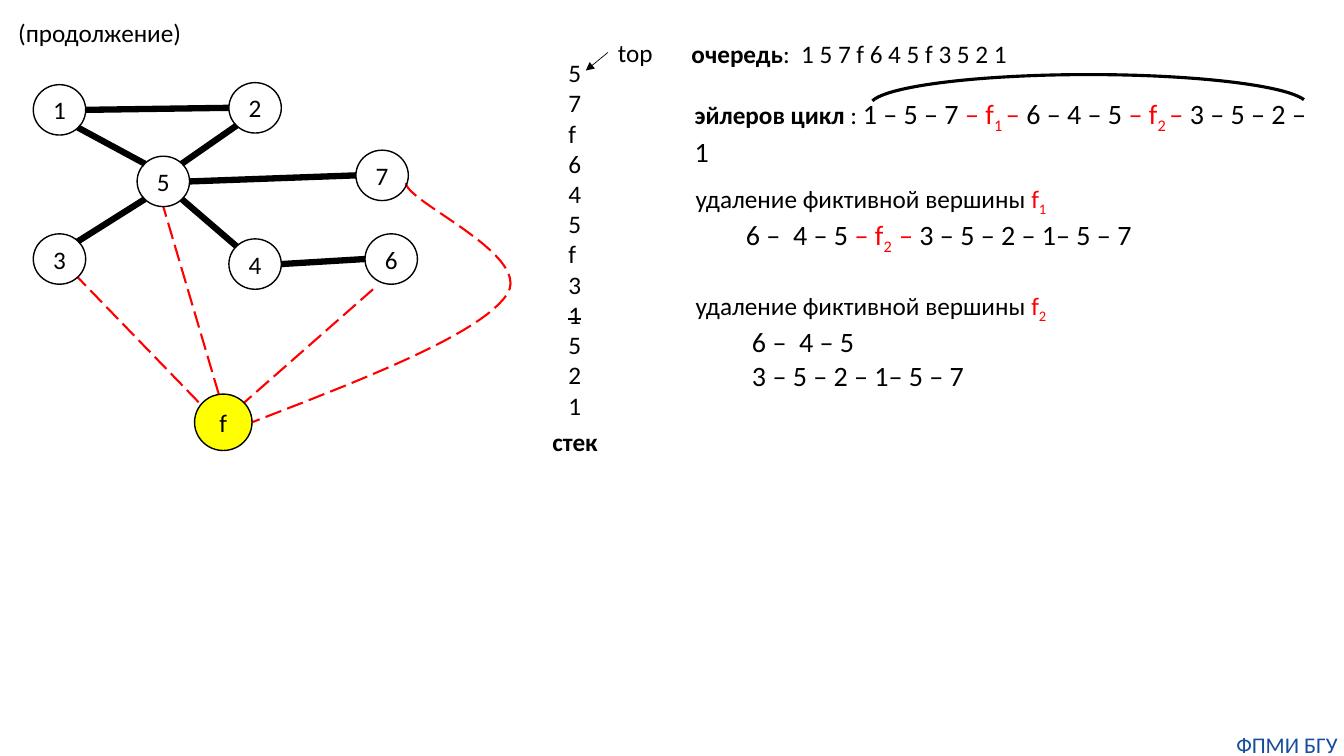
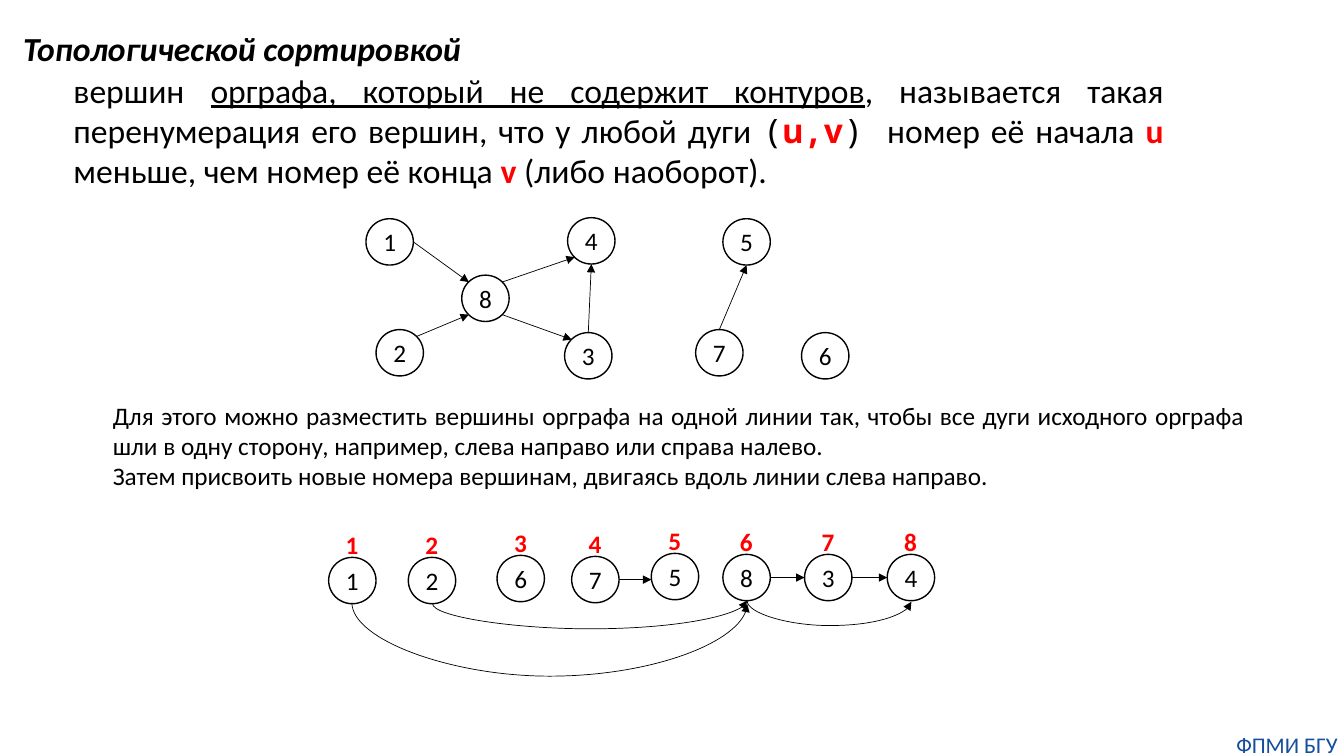
from lxml import etree
from pptx import Presentation, util as u
from pptx.dml.color import RGBColor
from pptx.enum import dml, shapes, text
from pptx.oxml.ns import qn

SCALE = 9144
SLIDE_SIZE = (1333, 750)
BLACK, RED, YELLOW, BLUE = "000000", "FF0000", "FFFF00", "144E9D"
BODY_FONT, MONO_FONT = "Calibri", "Noto Sans Mono"
FOOTER = "ФПМИ БГУ"
FOOTER_BOX = (1220, 725, 113, 27)

ON_RED = {"color": RED}
SUBSCRIPT = {"color": RED, "baseline": -25000}
BIG = {"size": 20}
BIG_RED = {"size": 20, "color": RED}
BIG_SUBSCRIPT = {"size": 20, **SUBSCRIPT}
BOLD = {"bold": True}
RED_BOLD = {"color": RED, "bold": True}

SITES = {
    "t": (0.5, 0), "b": (0.5, 1), "l": (0, 0.5), "r": (1, 0.5),
    "tl": (0.15, 0.15), "tr": (0.85, 0.15), "bl": (0.15, 0.85), "br": (0.85, 0.85),
}

EULER_NODE_SIZE = (52, 50)
EULER_NODES = {
    "1": (33, 84), "2": (227, 82), "3": (33, 232), "4": (227, 237),
    "5": (136, 155), "6": (362, 232), "7": (353, 149),
}
EULER_EDGES = [
    ("1", "br", "5", "tl"), ("2", "bl", "5", "tr"), ("1", "r", "2", "l"),
    ("5", "bl", "3", "tr"), ("5", "br", "4", "tl"), ("4", "r", "6", "l"),
    ("5", "r", "7", "l"),
]
FICTITIOUS_NODE = (193, 391, 57, 56)
FICTITIOUS_EDGES = [
    ((197, 399), (77, 275)), ((217, 391), (162, 205)), ((237, 404), (370, 287)),
]
FICTITIOUS_CURVE = [
    ((242, 422), (359, 377), (476, 332), (503, 292)),
    ((503, 292), (530, 251), (388, 194), (404, 179)),
]
STACK = ["5", "7", "f", "6", "4", "5", "f", "3", [("1", {"strike": True})], "5", "2", "1"]
QUEUE = [("очередь", BOLD), ":  1 5 7 f 6 4 5 f 3 5 2 1"]
EULER_CYCLE = [
    ("эйлеров цикл ", BOLD), ": ", ("1 – 5 – 7", BIG), (" – f", BIG_RED),
    ("1 ", BIG_SUBSCRIPT), ("–", BIG_RED), (" 6 – 4 – 5", BIG), (" – f", BIG_RED),
    ("2 ", BIG_SUBSCRIPT), ("–", BIG_RED), (" 3 – 5 – 2 – 1", BIG),
]
REMOVAL = "удаление фиктивной вершины "
FIRST_REMOVAL = [
    [REMOVAL, ("f", ON_RED), ("1", SUBSCRIPT)],
    [("6 –  4 – 5 ", BIG), ("– f", BIG_RED), ("2  ", BIG_SUBSCRIPT), ("–", BIG_RED),
     (" 3 – 5 – 2 – 1– 5 – 7", BIG)],
]
SECOND_REMOVAL = [
    [REMOVAL, ("f", ON_RED), ("2", SUBSCRIPT)],
    [("6 –  4 – 5", BIG)],
    [("3 – 5 – 2 – 1– 5 – 7", BIG)],
]

SORT_NODE_SIZE = (47, 46)
DIGRAPH_NODES = {
    "1": (363, 217), "2": (373, 327), "3": (560, 330), "4": (563, 216),
    "5": (717, 217), "6": (795, 330), "7": (690, 327), "8": (458, 273),
}
DIGRAPH_ARCS = [
    ("1", "r", "8", "tl"), ("2", "tr", "8", "bl"), ("8", "tr", "4", "bl"),
    ("8", "br", "3", "tl"), ("3", "t", "4", "b"), ("7", "t", "5", "b"),
]
SORTED_NODES = {
    "1": (326, 553), "2": (405, 553), "6": (493, 551), "7": (567, 552),
    "5": (646, 549), "8": (717, 550), "3": (798, 550), "4": (880, 550),
}
SORTED_ARCS = [("7", "5"), ("8", "3"), ("3", "4")]
SORTED_CURVES = [
    ((429, 599), (741, 596), 25), ((741, 596), (904, 597), 25), ((349, 598), (741, 599), 74),
]
DEFINITION = [
    "вершин ", ("орграфа, который не содержит контуров", {"underline": True}),
    ", называется такая перенумерация его вершин, что у любой дуги ",
    ("(", {"name": MONO_FONT}), ("u,v", {"name": MONO_FONT, **RED_BOLD}),
    (") ", {"name": MONO_FONT}), "номер её начала ", ("u", RED_BOLD),
    " меньше, чем номер её конца ", ("v", RED_BOLD), " (либо наоборот).",
]
METHOD = [
    "Для этого можно разместить вершины орграфа на одной линии так, чтобы все дуги "
    "исходного орграфа шли в одну сторону, например, слева направо или справа налево.",
    "Затем присвоить новые номера вершинам, двигаясь вдоль линии слева направо.",
]


def px(value):
    return u.Emu(round(value * SCALE))


def rgb(value):
    return RGBColor.from_string(value)


def format_run(run, name=BODY_FONT, size=18, color=BLACK, bold=False, italic=False,
               underline=False, strike=False, baseline=0):
    font = run.font
    font.name, font.size = name, u.Pt(size)
    font.bold, font.italic, font.underline = bold, italic, underline
    font.color.rgb = rgb(color)
    properties = run._r.get_or_add_rPr()
    if strike:
        properties.set("strike", "sngStrike")
    if baseline:
        properties.set("baseline", str(baseline))


def write(shape, paragraphs, align="LEFT", anchor="TOP", wrap=True, inset=None, indents=(), **style):
    frame = shape.text_frame
    frame.word_wrap = wrap
    frame.auto_size = text.MSO_AUTO_SIZE.NONE
    frame.vertical_anchor = text.MSO_ANCHOR[anchor]
    if inset is not None:
        frame.margin_left = frame.margin_right = frame.margin_top = frame.margin_bottom = px(inset)
    for index, runs in enumerate(paragraphs):
        paragraph = frame.add_paragraph() if index else frame.paragraphs[0]
        paragraph.alignment = text.PP_ALIGN[align]
        if index < len(indents):
            paragraph._p.get_or_add_pPr().set("marL", str(px(indents[index])))
        for part in [runs] if isinstance(runs, str) else runs:
            words, special = (part, {}) if isinstance(part, str) else part
            run = paragraph.add_run()
            run.text = words
            format_run(run, **{**style, **special})


def add_text(slide, box, paragraphs, **style):
    write(slide.shapes.add_textbox(*map(px, box)), paragraphs, **style)


def set_line(shape, color=BLACK, width=1, dash=False):
    shape.line.color.rgb = rgb(color)
    shape.line.width = u.Pt(width)
    if dash:
        shape.line.dash_style = dml.MSO_LINE.LONG_DASH


def add_shape(slide, kind, box, fill=None, **line):
    shape = slide.shapes.add_shape(shapes.MSO_SHAPE[kind], *map(px, box))
    shape.shadow.inherit = False
    if fill:
        shape.fill.solid()
        shape.fill.fore_color.rgb = rgb(fill)
    else:
        shape.fill.background()
    set_line(shape, **line)
    return shape


def add_node(slide, label, box, fill=None):
    node = add_shape(slide, "OVAL", box, fill)
    write(node, [label], align="CENTER", anchor="MIDDLE", inset=0)


def add_nodes(slide, nodes, size):
    for label, corner in nodes.items():
        add_node(slide, label, corner + size)


def add_line(slide, start, end, arrow=False, kind="STRAIGHT", **line):
    connector = slide.shapes.add_connector(shapes.MSO_CONNECTOR[kind], *map(px, start + end))
    set_line(connector, **line)
    if arrow:
        etree.SubElement(connector.line._get_or_add_ln(), qn("a:tailEnd"), type="triangle")
    etree.SubElement(connector._element.spPr, qn("a:effectLst"))
    return connector


def add_hanging_arrow(slide, start, end, depth):
    (x1, y1), (x2, y2) = start, end
    drop, span = y2 - y1, x2 - x1
    left, top = (x1 + x2 - abs(drop)) / 2, (y1 + y2 - span) / 2
    connector = add_line(slide, (left, top), (left + abs(drop), top + span),
                         arrow=True, kind="CURVE", width=0.5)
    properties = connector._element.spPr
    frame = properties.find(qn("a:xfrm"))
    frame.set("rot", str((270 if drop > 0 else 90) * 60000))
    frame.set("flipH", "1")
    if drop < 0:
        frame.set("flipV", "1")
    guides = properties.find(qn("a:prstGeom")).find(qn("a:avLst"))
    etree.SubElement(guides, qn("a:gd"), name="adj1", fmla=f"val {round(depth / drop * 100000)}")


def site_point(corner, size, site):
    return tuple(c + s * f for c, s, f in zip(corner, size, SITES[site]))


def add_edges(slide, nodes, size, edges, **line):
    for first, first_site, second, second_site in edges:
        add_line(slide, site_point(nodes[first], size, first_site),
                 site_point(nodes[second], size, second_site), **line)


def bezier_point(points, t):
    weights = ((1 - t) ** 3, 3 * t * (1 - t) ** 2, 3 * t * t * (1 - t), t ** 3)
    return tuple(px(sum(w * p[axis] for w, p in zip(weights, points))) for axis in (0, 1))


def add_curve(slide, segments, steps=24, **line):
    points = [bezier_point(segment, step / steps)
              for segment in segments for step in range(1, steps + 1)]
    builder = slide.shapes.build_freeform(*bezier_point(segments[0], 0))
    builder.add_line_segments(points, close=False)
    curve = builder.convert_to_shape()
    curve.shadow.inherit = False
    curve.fill.background()
    set_line(curve, **line)


def new_slide(presentation, title, box, **style):
    slide = presentation.slides.add_slide(presentation.slide_layouts[5])
    shape = slide.shapes.title
    shape.left, shape.top, shape.width, shape.height = map(px, box)
    write(shape, [title], **style)
    add_text(slide, FOOTER_BOX, [FOOTER], align="CENTER", inset=0, size=16, color=BLUE)
    return slide


def build_euler_slide(presentation):
    slide = new_slide(presentation, "(продолжение)", (8, 12, 184, 40), wrap=False)
    dashes = {"color": RED, "width": 1.5, "dash": True}
    for start, end in FICTITIOUS_EDGES:
        add_line(slide, start, end, **dashes)
    add_curve(slide, FICTITIOUS_CURVE, **dashes)
    add_nodes(slide, EULER_NODES, EULER_NODE_SIZE)
    add_node(slide, "f", FICTITIOUS_NODE, YELLOW)
    add_edges(slide, EULER_NODES, EULER_NODE_SIZE, EULER_EDGES, width=4.5)

    add_text(slide, (554, 52, 33, 374), STACK, wrap=False)
    add_text(slide, (538, 418, 65, 40), ["стек"], wrap=False, bold=True)
    add_text(slide, (603, 32, 55, 40), ["top"], wrap=False)
    add_line(slide, (603, 52), (581, 70), arrow=True, width=0.5)

    add_text(slide, (676, 33, 338, 40), [QUEUE], wrap=False)
    add_text(slide, (679, 91, 638, 77), [EULER_CYCLE])
    arc = add_shape(slide, "ARC", (863, 74, 434, 61), width=2.25)
    arc.adjustments[0], arc.adjustments[1] = 108.71, 215.1
    add_text(slide, (680, 177, 519, 74), FIRST_REMOVAL, indents=(0, 50))
    add_text(slide, (680, 283, 529, 111), SECOND_REMOVAL, indents=(0, 56, 56))


def build_sorting_slide(presentation):
    slide = new_slide(presentation, "Топологической сортировкой", (13, 23, 1151, 45),
                      size=24, bold=True, italic=True)
    add_text(slide, (13, 64, 1151, 131), [DEFINITION], align="JUSTIFY", indents=(50,), size=24)
    add_nodes(slide, DIGRAPH_NODES, SORT_NODE_SIZE)
    add_edges(slide, DIGRAPH_NODES, SORT_NODE_SIZE, DIGRAPH_ARCS, arrow=True, width=0.5)
    add_text(slide, (102, 392, 1142, 101), METHOD, align="JUSTIFY")

    add_nodes(slide, SORTED_NODES, SORT_NODE_SIZE)
    for number, (left, top) in enumerate(SORTED_NODES.values(), 1):
        add_text(slide, (left + 7, top - 33, 33, 40), [str(number)], wrap=False, **RED_BOLD)
    for first, second in SORTED_ARCS:
        start = site_point(SORTED_NODES[first], SORT_NODE_SIZE, "r")
        add_line(slide, start, (SORTED_NODES[second][0], start[1]), arrow=True, width=0.5)
    for start, end, depth in SORTED_CURVES:
        add_hanging_arrow(slide, start, end, depth)


def main():
    presentation = Presentation()
    presentation.slide_width, presentation.slide_height = map(px, SLIDE_SIZE)
    build_euler_slide(presentation)
    build_sorting_slide(presentation)
    presentation.save("out.pptx")


if __name__ == "__main__":
    main()
